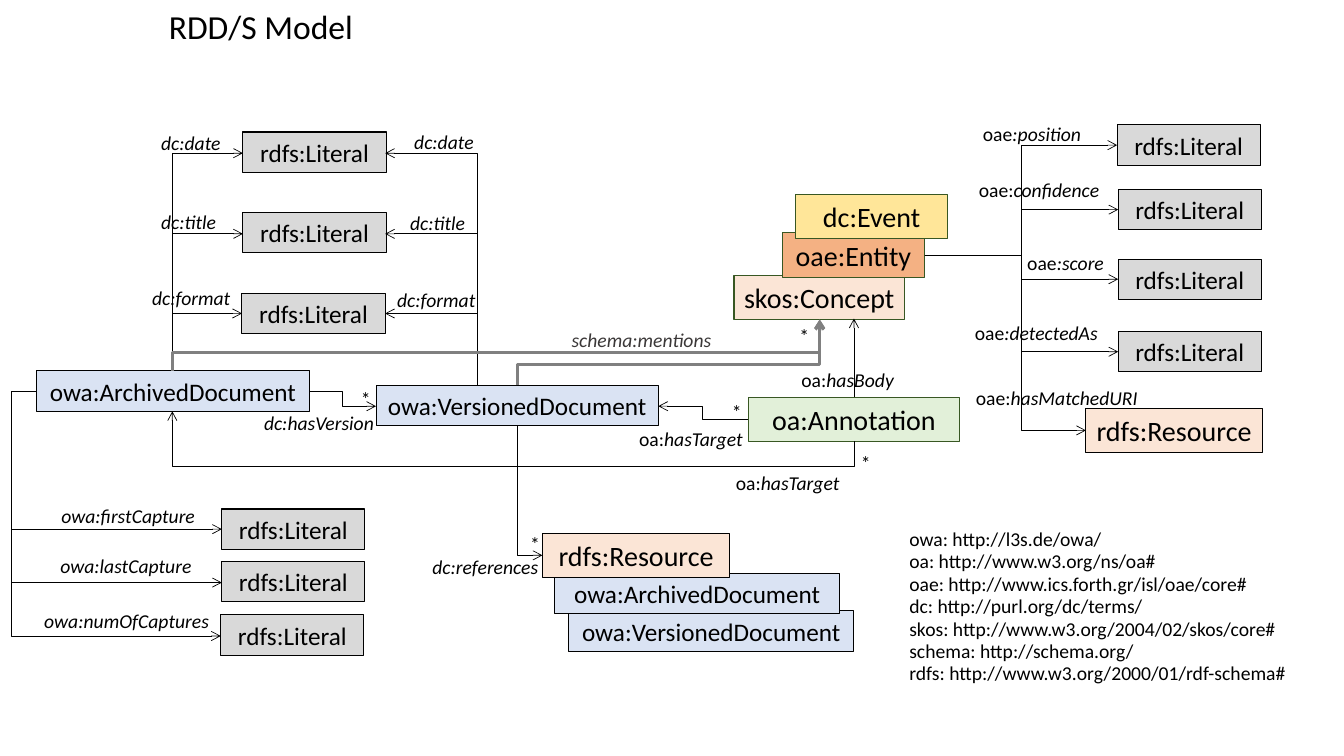
import pptx
import pptx.util
import pptx.dml.color
import pptx.enum.shapes
import pptx.enum.text
import pptx.oxml
import pptx.oxml.ns

Inches = pptx.util.Inches

THEME = {
    "font": "Calibri", "title": 24, "big": 20, "mid": 18, "small": 14, "lead": 16,
    "black": "000000", "dark": "3B3838", "gray": "808080", "green": "385723",
    "literal": "D9D9D9", "doc": "DAE3F3", "peach": "FBE5D6",
    "entity": "F4B183", "event": "FFE699", "note": "E2F0D9",
    "edge": 0.75, "thin": 0.5, "thick": 2.25,
}

TITLE = ("RDD/S Model ", 0.02, 0.01, 5.21, 0.5)

ARCHIVE = "owa:ArchivedDocument"
VERSION = "owa:VersionedDocument"
NOTE = "oa:Annotation"
DOCS = [
    (VERSION, 5.64, 6.06, 2.83),
    (ARCHIVE, 5.5, 5.69, 2.83),
    (ARCHIVE, 0.36, 3.68, 2.71),
    (VERSION, 3.73, 3.82, 2.8),
]
LITERALS = [
    (2.41, 1.31), (2.41, 2.11), (2.4, 2.91),
    (11.08, 1.24), (11.09, 1.88), (11.09, 2.57), (11.09, 3.29),
    (2.2, 5.05), (2.2, 5.57), (2.19, 6.1),
]
NODES = [
    ("skos:Concept", 7.28, 2.73, 1.69, "peach", "green"),
    ("oae:Entity", 7.76, 2.31, 1.41, "entity", "green"),
    ("dc:Event", 7.89, 1.93, 1.51, "event", "green"),
    ("rdfs:Resource", 10.77, 4.05, 1.75, "peach", "black"),
    ("rdfs:Resource", 5.38, 5.29, 1.86, "peach", "black"),
    (NOTE, 7.42, 3.94, 2.1, "note", "green"),
]

CORNERS = [
    ((1.71, 3.68), [(2.41, 1.52), (2.41, 2.32), (2.4, 3.11)]),
    ((4.73, 3.82), [(3.82, 1.52), (3.82, 2.32), (3.82, 3.11)]),
    ((5.13, 4.23), [(5.38, 5.51)]),
]
STEPS = [
    ((9.17, 2.53), 10.13, [(11.08, 1.44), (11.09, 2.08), (11.09, 2.77),
                           (11.09, 3.49), (10.77, 4.27)]),
    ((0.36, 3.88), 0.11, [(2.2, 5.25), (2.2, 5.78), (2.19, 6.31)]),
    ((3.07, 3.88), 3.4, [(3.73, 4.03)]),
    ((7.42, 4.16), 6.97, [(6.53, 4.03)]),
]
BRIDGES = [
    ((8.47, 4.38), 4.63, (1.71, 4.08), "black", "thin"),
    ((1.71, 3.68), 3.5, (8.13, 3.17), "gray", "thick"),
    ((5.13, 3.82), 3.62, (8.13, 3.17), "gray", "thick"),
]
BODY = ((8.47, 3.94), (8.47, 3.16))

LABELS = [
    ("", "dc:date", 4.01, 1.24, 0.82), ("", "dc:title", 3.97, 2.04, 0.76),
    ("", "dc:format", 3.84, 2.81, 0.99), ("", "dc:date", 1.5, 1.25, 0.82),
    ("", "dc:title", 1.5, 2.03, 0.76), ("", "dc:format", 1.41, 2.79, 0.99),
    ("", "owa:firstCapture", 0.51, 4.95, 1.54),
    ("", "owa:lastCapture", 0.5, 5.45, 1.52),
    ("", "owa:numOfCaptures", 0.34, 5.99, 1.85),
    ("", "dc:hasVersion", 2.52, 4.03, 1.31),
    ("", "dc:references", 4.19, 5.46, 1.26),
    ("oae", ":position", 9.65, 1.16, 1.19), ("oae:", "confidence", 9.61, 1.72, 1.46),
    ("oae", ":score", 10.09, 2.44, 0.97), ("oae", ":detectedAs", 9.57, 3.13, 1.43),
    ("oae:", "hasMatchedURI", 9.58, 3.78, 1.83),
]
WRAPPED = [
    ("oa:", "hasBody", 7.85, 3.6, 1.13), ("oa:", "hasTarget", 6.24, 4.19, 1.31),
    ("oa:", "hasTarget", 7.2, 4.62, 1.31),
    ("*", "", 3.48, 3.79, 0.48), ("*", "", 5.16, 5.23, 0.4),
    ("*", "", 7.16, 3.92, 0.58), ("*", "", 8.44, 4.42, 0.58),
    ("*", "", 7.83, 3.16, 0.4),
]
MENTIONS = ("", "schema:mentions", 5.57, 3.2, 1.61)

SPACES = [
    "owa: http://l3s.de/owa/",
    "oa: http://www.w3.org/ns/oa#",
    "oae: http://www.ics.forth.gr/isl/oae/core#",
    "dc: http://purl.org/dc/terms/",
    "skos: http://www.w3.org/2004/02/skos/core#",
    "schema: http://schema.org/",
    "rdfs: http://www.w3.org/2000/01/rdf-schema#",
]
SPACE_BOX = (8.92, 5.19, 3.98, 1.67)

deck = pptx.Presentation()
deck.slide_width, deck.slide_height = Inches(13.33), Inches(7.5)
slide = deck.slides.add_slide(deck.slide_layouts[6])
shapes = slide.shapes


def tint(name):
    return pptx.dml.color.RGBColor.from_string(THEME[name])


def style(para, size, color="black"):
    para.font.name = THEME["font"]
    para.font.size = pptx.util.Pt(THEME[size])
    para.font.color.rgb = tint(color)


def center(para):
    para.alignment = pptx.enum.text.PP_ALIGN.CENTER


def add_box(text, left, top, width, height, fill, edge, size):
    box = shapes.add_shape(pptx.enum.shapes.MSO_SHAPE.RECTANGLE,
                           *map(Inches, (left, top, width, height)))
    box.shadow.inherit = False
    box.fill.solid()
    box.fill.fore_color.rgb = tint(fill)
    box.line.color.rgb = tint(edge)
    box.line.width = pptx.util.Pt(THEME["edge"])
    box.text_frame.text = text
    para = box.text_frame.paragraphs[0]
    center(para)
    style(para, size)
    return box


def add_frame(left, top, width, height, wrap):
    frame = shapes.add_textbox(*map(Inches, (left, top, width, height))).text_frame
    frame.word_wrap = wrap
    frame.auto_size = pptx.enum.text.MSO_AUTO_SIZE.SHAPE_TO_FIT_TEXT
    return frame


def add_label(plain, slant, left, top, width, wrap=False, color="black"):
    para = add_frame(left, top, width, 0.34, wrap).paragraphs[0]
    style(para, "small", color)
    if plain:
        para.add_run().text = plain
    if slant:
        run = para.add_run()
        run.text = slant
        if plain:
            run.font.italic = True
        else:
            para.font.italic = True


def add_line(start, end, color="black", weight="thin", arrow="tailEnd", kind="ELBOW"):
    line = shapes.add_connector(pptx.enum.shapes.MSO_CONNECTOR[kind],
                                *map(Inches, (*start, *end)))
    line.line.color.rgb = tint(color)
    line.line.width = pptx.util.Pt(THEME[weight])
    tip = pptx.oxml.ns.qn("a:" + arrow)
    line.line._get_or_add_ln().makeelement(tip)
    pen = line.line._get_or_add_ln()
    pen.append(pen.makeelement(tip, {"type": "arrow"}))
    props = line._element.spPr
    props.append(props.makeelement(pptx.oxml.ns.qn("a:effectLst")))
    return line


def set_bend(line, share):
    geom = line._element.spPr.find(pptx.oxml.ns.qn("a:prstGeom"))
    guides = geom.find(pptx.oxml.ns.qn("a:avLst"))
    guides.append(guides.makeelement(
        pptx.oxml.ns.qn("a:gd"),
        {"name": "adj1", "fmla": f"val {round(share * 100000)}"}))


def add_corner(start, end):
    line = add_line(end, start, arrow="headEnd")
    line._element.spPr.find(pptx.oxml.ns.qn("a:prstGeom")).set("prst", "bentConnector2")


def add_step(start, turn, end):
    set_bend(add_line(start, end), (turn - start[0]) / (end[0] - start[0]))


def add_bridge(start, turn, end, color, weight):
    (x1, y1), (x2, y2) = start, end
    midx, midy = (x1 + x2) / 2, (y1 + y2) / 2
    dx, dy = (x2 - x1) / 2, (y2 - y1) / 2
    line = add_line((midx - dy, midy + dx), (midx + dy, midy - dx), color, weight)
    line._element.spPr.find(pptx.oxml.ns.qn("a:xfrm")).set("rot", "5400000")
    set_bend(line, (turn - y1) / (y2 - y1))


for text, left, top, width in DOCS:
    add_box(text, left, top, width, 0.4, "doc", "black", "mid")
for left, top in LITERALS:
    add_box("rdfs:Literal", left, top, 1.42, 0.4, "literal", "black", "mid")
nodes = {}
for text, left, top, width, fill, edge in NODES:
    nodes[text] = add_box(text, left, top, width, 0.44, fill, edge, "big")

for start, ends in CORNERS:
    for end in ends:
        add_corner(start, end)
for start, turn, ends in STEPS:
    for end in ends:
        add_step(start, turn, end)
for bridge in BRIDGES:
    add_bridge(*bridge)
add_line(*BODY, kind="STRAIGHT").begin_connect(nodes[NOTE], 0)

for label in LABELS:
    add_label(*label)
for label in WRAPPED:
    add_label(*label, wrap=True)
add_label(*MENTIONS, color="dark")

head = add_frame(*TITLE[1:], True).paragraphs[0]
head.text = TITLE[0]
center(head)
style(head, "title")

frame = add_frame(*SPACE_BOX, False)
frame.text = "\n".join(SPACES)
for para in frame.paragraphs:
    style(para, "small")
    para.line_spacing = pptx.util.Pt(THEME["lead"])

deck.save("out.pptx")
